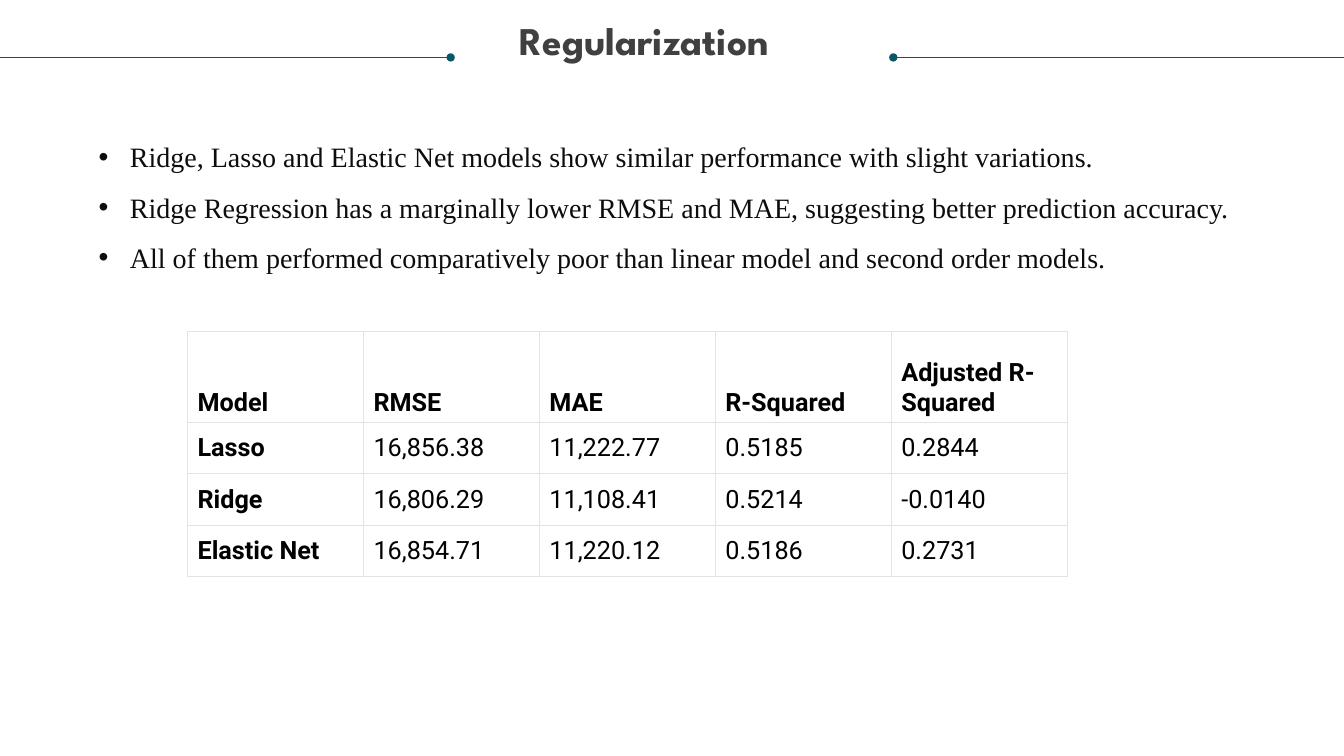
from lxml import etree
from pptx import Presentation
from pptx.dml.color import RGBColor
from pptx.enum.shapes import MSO_CONNECTOR
from pptx.enum.text import MSO_ANCHOR, PP_ALIGN
from pptx.oxml.ns import qn
from pptx.util import Inches, Pt

# Content
TITLE = "Regularization"
FINDINGS = [
    "Ridge, Lasso and Elastic Net models show similar performance with slight variations.",
    "Ridge Regression has a marginally lower RMSE and MAE, suggesting better prediction accuracy.",
    "All of them performed comparatively poor than linear model and second order models.",
]
SCORES = [
    ("Model", "RMSE", "MAE", "R-Squared", "Adjusted R-Squared"),
    ("Lasso", "16,856.38", "11,222.77", "0.5185", "0.2844"),
    ("Ridge", "16,806.29", "11,108.41", "0.5214", "-0.0140"),
    ("Elastic Net", "16,854.71", "11,220.12", "0.5186", "0.2731"),
]

# Style
TEAL = RGBColor(0x08, 0x57, 0x64)
GREY = RGBColor(0x40, 0x40, 0x40)
INK = RGBColor(0x0D, 0x0D, 0x0D)
BLACK = RGBColor(0, 0, 0)
WHITE = RGBColor(255, 255, 255)
GRID = RGBColor(0xE3, 0xE3, 0xE3)
TITLE_FONT = {"name": "League Spartan", "size": Pt(28), "bold": True}
BODY_FONT = {"name": "Times New Roman", "size": Pt(20)}
TABLE_FONT = {"name": "Roboto", "size": Pt(18)}
TOP, MIDDLE, BOTTOM = MSO_ANCHOR.TOP, MSO_ANCHOR.MIDDLE, MSO_ANCHOR.BOTTOM
CENTER = PP_ALIGN.CENTER
STRAIGHT = MSO_CONNECTOR.STRAIGHT

# Layout, in inches
WIDTH, HEIGHT = 13.33, 7.5
RULE_Y, RULE_LENGTH = 0.57, 4.47
COLUMN_WIDTH, HEADER_HEIGHT, ROW_HEIGHT = 1.745, 0.9, 0.51
THIN, THICK = 0.6, 1


def write(para, text, style, color):
    span = para.add_run()
    span.text = text
    for name, value in style.items():
        setattr(span.font, name, value)
    span.font.color.rgb = color


def add_text_frame(page, left, top, width, height, anchor):
    box = page.shapes.add_textbox(Inches(left), Inches(top), Inches(width), Inches(height))
    frame = box.text_frame
    frame.word_wrap = True
    frame.vertical_anchor = anchor
    return frame


def add_rule(page, outer_x, inner_x):
    """Line from the page edge to a dot beside the title."""
    rule = page.shapes.add_connector(
        STRAIGHT, Inches(outer_x), Inches(RULE_Y), Inches(inner_x), Inches(RULE_Y))
    rule.line.color.rgb = TEAL
    rule.line.width = Pt(0.5)
    etree.SubElement(rule.line._get_or_add_ln(), qn("a:tailEnd"), type="oval")
    etree.SubElement(rule._element.spPr, qn("a:effectLst"))


def add_bullet(para):
    properties = para._p.get_or_add_pPr()
    indent = Inches(0.31)
    properties.set("marL", str(indent))
    properties.set("indent", str(-indent))
    etree.SubElement(properties, qn("a:buFont"), typeface="Arial")
    etree.SubElement(properties, qn("a:buChar"), char="•")


def add_borders(cell, widths):
    properties = cell._tc.get_or_add_tcPr()
    for side, width in widths.items():
        border = etree.SubElement(properties, qn(f"a:ln{side}"), w=str(Pt(width)))
        fill = etree.SubElement(border, qn("a:solidFill"))
        etree.SubElement(fill, qn("a:srgbClr"), val=str(GRID))


def add_scores(page):
    row_count, column_count = len(SCORES), len(SCORES[0])
    heights = [HEADER_HEIGHT] + [ROW_HEIGHT] * (row_count - 1)
    table = page.shapes.add_table(
        row_count, column_count, Inches(1.86), Inches(3.29),
        Inches(COLUMN_WIDTH * column_count), Inches(sum(heights))).table
    for column in table.columns:
        column.width = Inches(COLUMN_WIDTH)
    for row_index, values in enumerate(SCORES):
        table.rows[row_index].height = Inches(heights[row_index])
        is_header = row_index == 0
        is_last = row_index == row_count - 1
        borders = {"L": THIN, "R": THIN,
                   "T": THIN if is_header else THICK,
                   "B": THIN if is_last else THICK}
        for column_index, value in enumerate(values):
            cell = table.cell(row_index, column_index)
            cell.vertical_anchor = BOTTOM if is_header else MIDDLE
            style = {**TABLE_FONT, "bold": is_header or column_index == 0}
            write(cell.text_frame.paragraphs[0], value, style, BLACK)
            add_borders(cell, borders)
            cell.fill.solid()
            cell.fill.fore_color.rgb = WHITE


def main():
    deck = Presentation()
    deck.slide_width, deck.slide_height = Inches(WIDTH), Inches(HEIGHT)
    page = deck.slides.add_slide(deck.slide_layouts[6])

    # Title between two rules; the right inset moves it left of centre
    add_rule(page, 0, RULE_LENGTH)
    add_rule(page, WIDTH, WIDTH - RULE_LENGTH)
    frame = add_text_frame(page, 0.25, 0.21, 12.83, 0.85, TOP)
    frame.margin_left = frame.margin_top = frame.margin_bottom = 0
    frame.margin_right = Inches(0.55)
    heading = frame.paragraphs[0]
    heading.alignment = CENTER
    heading.line_spacing = 0.9
    write(heading, TITLE, TITLE_FONT, GREY)

    # Findings
    frame = add_text_frame(page, 0.88, 1.19, 11.58, 1.56, MIDDLE)
    for index, finding in enumerate(FINDINGS):
        para = frame.add_paragraph() if index else frame.paragraphs[0]
        para.line_spacing = 1.5
        add_bullet(para)
        write(para, finding, BODY_FONT, INK)

    # Model scores
    add_scores(page)
    deck.save("out.pptx")


if __name__ == "__main__":
    main()
